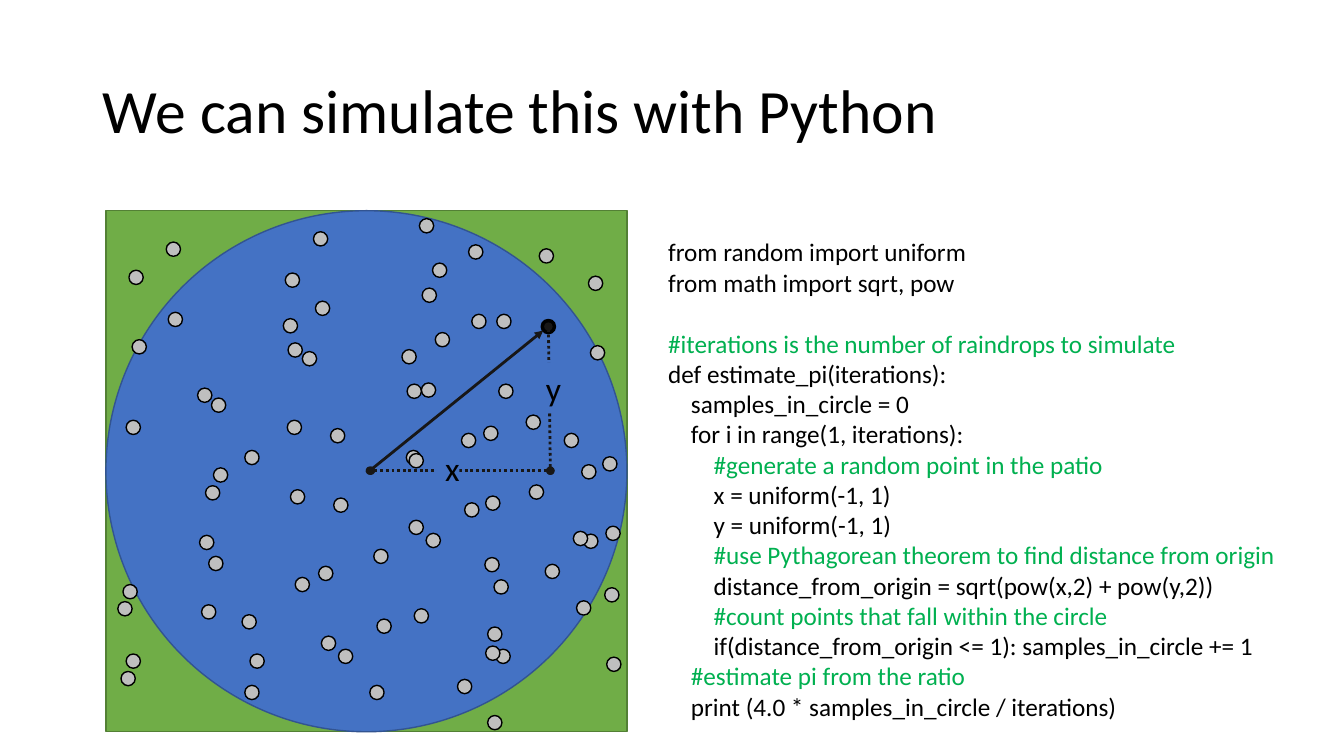
from dataclasses import dataclass

from lxml.etree import SubElement
from pptx import Presentation
from pptx.dml.color import RGBColor
from pptx.enum.dml import MSO_LINE_DASH_STYLE as Dash
from pptx.enum.shapes import MSO_CONNECTOR, MSO_SHAPE
from pptx.enum.text import MSO_ANCHOR, MSO_AUTO_SIZE as AutoSize, PP_ALIGN
from pptx.oxml.ns import qn
from pptx.shapes.autoshape import Shape
from pptx.slide import Slide
from pptx.text.text import _Paragraph as Paragraph
from pptx.util import Cm, Pt

BLACK = RGBColor(0x00, 0x00, 0x00)
INK = RGBColor(0x18, 0x17, 0x17)
PATIO_GREEN = RGBColor(0x70, 0xAD, 0x47)
PATIO_EDGE = RGBColor(0x53, 0x80, 0x35)
POND_BLUE = RGBColor(0x44, 0x72, 0xC4)
POND_EDGE = RGBColor(0x32, 0x54, 0x91)
DROP_GREY = RGBColor(0xBF, 0xBF, 0xBF)
COMMENT_GREEN = RGBColor(0x00, 0xB0, 0x50)
FONT = "Calibri"
DROP_SIZE = 0.36


@dataclass(frozen=True)
class Box:
    """A rectangle in centimetres."""
    left: float
    top: float
    width: float
    height: float

    def lengths(self) -> tuple[Cm, Cm, Cm, Cm]:
        return Cm(self.left), Cm(self.top), Cm(self.width), Cm(self.height)


@dataclass(frozen=True)
class Ray:
    """A line that starts with an oval; ends are in centimetres."""
    start: tuple[float, float]
    end: tuple[float, float]
    tail: str
    dotted: bool


@dataclass(frozen=True)
class Label:
    text: str
    left: float
    top: float


PATIO = Box(2.67, 5.31, 13.13, 13.13)
TITLE_BOX = Box(2.34, 1.02, 29.21, 3.68)
CODE_BOX = Box(16.59, 5.84, 16.94, 12.57)

# Left and top of each raindrop, in centimetres
RAINDROPS = [
    (3.25, 6.81), (10.9, 6.63), (15.19, 11.51), (2.97, 15.16), (4.98, 9.78),
    (8.33, 10.8), (11.53, 17.12), (12.45, 14.61), (8.03, 14.27), (13.26, 10.46),
    (6.1, 15.49), (15.24, 14.81), (13.59, 6.27), (5.18, 12.24), (7.19, 6.88),
    (10.13, 8.81), (13.74, 14.22), (14.66, 11.71), (10.24, 11.35), (14.83, 6.96),
    (3.33, 8.56), (10.97, 8.38), (15.27, 13.26), (3.05, 16.92), (6.17, 11.35),
    (8.41, 12.55), (10.44, 15.34), (12.5, 16.36), (8.1, 16.03), (13.34, 12.22),
    (6.17, 17.27), (15.29, 16.56), (5.26, 14.02), (7.26, 8.64), (10.62, 9.65),
    (9.32, 17.27), (14.71, 13.46), (10.31, 13.11), (14.88, 8.71), (12.52, 7.92),
    (7.9, 5.84), (12.19, 10.74), (12.24, 16.28), (14.22, 10.92), (5.33, 10.03),
    (8.53, 16.36), (9.42, 13.84), (5.03, 13.49), (10.26, 9.68), (3.1, 14.73),
    (12.22, 14.05), (10.57, 5.51), (14.45, 13.39), (4.19, 6.1), (7.14, 8.03),
    (10.74, 13.44), (11.63, 10.92), (7.24, 10.59), (11.81, 6.17), (12.57, 9.68),
    (7.95, 7.59), (12.24, 12.5), (12.29, 18.03), (3.18, 10.59), (5.38, 11.79),
    (7.44, 14.55), (9.5, 15.6), (5.08, 15.24), (10.31, 11.43), (3.18, 16.48),
    (12.29, 15.8), (10.64, 7.26), (14.53, 15.14), (4.24, 7.87), (7.62, 8.86),
    (6.3, 16.48), (11.71, 12.67), (7.32, 12.34), (11.89, 7.92),
]
SAMPLE_DROP = (13.64, 8.05)

RAYS = [
    Ray((9.35, 11.86), (13.87, 11.86), "oval", True),
    Ray((9.32, 11.86), (13.69, 8.33), "triangle", False),
    Ray((13.87, 11.86), (13.82, 8.23), "oval", True),
]
LABELS = [Label("x", 10.97, 11.15), Label("y", 13.51, 9.14)]

CODE = """\
from random import uniform
from math import sqrt, pow

#iterations is the number of raindrops to simulate
def estimate_pi(iterations):
    samples_in_circle = 0
    for i in range(1, iterations):
        #generate a random point in the patio
        x = uniform(-1, 1)
        y = uniform(-1, 1)
        #use Pythagorean theorem to find distance from origin
        distance_from_origin = sqrt(pow(x,2) + pow(y,2))
        #count points that fall within the circle
        if(distance_from_origin <= 1): samples_in_circle += 1
    #estimate pi from the ratio
    print (4.0 * samples_in_circle / iterations)"""


def format_runs(para: Paragraph, size: float, color: RGBColor) -> None:
    for span in para.runs:
        span.font.name = FONT
        span.font.size = Pt(size)
        span.font.color.rgb = color


def add_solid(page: Slide, kind: MSO_SHAPE, box: Box, fill: RGBColor,
              edge: RGBColor | None = None) -> Shape:
    shape = page.shapes.add_shape(kind, *box.lengths())
    shape.shadow.inherit = False
    shape.fill.solid()
    shape.fill.fore_color.rgb = fill
    if edge is None:
        shape.line.fill.background()
    else:
        shape.line.color.rgb = edge
        shape.line.width = Pt(1)
    return shape


def add_drop(page: Slide, place: tuple[float, float], fill: RGBColor) -> None:
    add_solid(page, MSO_SHAPE.OVAL, Box(*place, DROP_SIZE, DROP_SIZE), fill, BLACK)


def add_ray(page: Slide, ray: Ray) -> None:
    line = page.shapes.add_connector(
        MSO_CONNECTOR.STRAIGHT, *(Cm(value) for value in ray.start + ray.end))
    line.line.color.rgb = INK
    line.line.width = Pt(2)
    if ray.dotted:
        line.line.dash_style = Dash.ROUND_DOT
    outline = line.line._get_or_add_ln()
    SubElement(outline, qn("a:headEnd"), type="oval")
    SubElement(outline, qn("a:tailEnd"), type=ray.tail)
    SubElement(line._element.spPr, qn("a:effectLst"))


def add_label(page: Slide, label: Label) -> None:
    box = Box(label.left, label.top, 0.61, 1.27)
    shape = add_solid(page, MSO_SHAPE.RECTANGLE, box, POND_BLUE)
    shape.text_frame.auto_size = AutoSize.SHAPE_TO_FIT_TEXT
    para = shape.text_frame.paragraphs[0]
    para.text = label.text
    para.alignment = PP_ALIGN.CENTER
    format_runs(para, 24, BLACK)


def set_title(page: Slide, text: str) -> None:
    title = page.shapes.title
    title.left, title.top, title.width, title.height = TITLE_BOX.lengths()
    frame = title.text_frame
    frame.text = text
    frame.auto_size = AutoSize.NONE
    frame.vertical_anchor = MSO_ANCHOR.MIDDLE
    para = frame.paragraphs[0]
    para.alignment = PP_ALIGN.LEFT
    para.line_spacing = 0.9
    format_runs(para, 44, BLACK)


def add_code(page: Slide) -> None:
    frame = page.shapes.add_textbox(*CODE_BOX.lengths()).text_frame
    frame.word_wrap = True
    blocks = [block.splitlines() for block in CODE.split("\n\n")]
    frame.text = "\n".join(line for block in blocks for line in block)
    for para in frame.paragraphs:
        is_comment = para.text.lstrip().startswith("#")
        format_runs(para, 18, COMMENT_GREEN if is_comment else BLACK)
    frame.paragraphs[len(blocks[0])].space_before = Pt(22)


def main() -> None:
    deck = Presentation()
    deck.slide_width, deck.slide_height = Cm(33.87), Cm(19.05)
    page = deck.slides.add_slide(deck.slide_layouts[5])
    set_title(page, "We can simulate this with Python")
    add_solid(page, MSO_SHAPE.RECTANGLE, PATIO, PATIO_GREEN, PATIO_EDGE)
    add_solid(page, MSO_SHAPE.OVAL, PATIO, POND_BLUE, POND_EDGE)
    for place in RAINDROPS:
        add_drop(page, place, DROP_GREY)
    add_drop(page, SAMPLE_DROP, BLACK)
    for ray in RAYS:
        add_ray(page, ray)
    for label in LABELS:
        add_label(page, label)
    add_code(page)
    deck.save("out.pptx")


if __name__ == "__main__":
    main()
